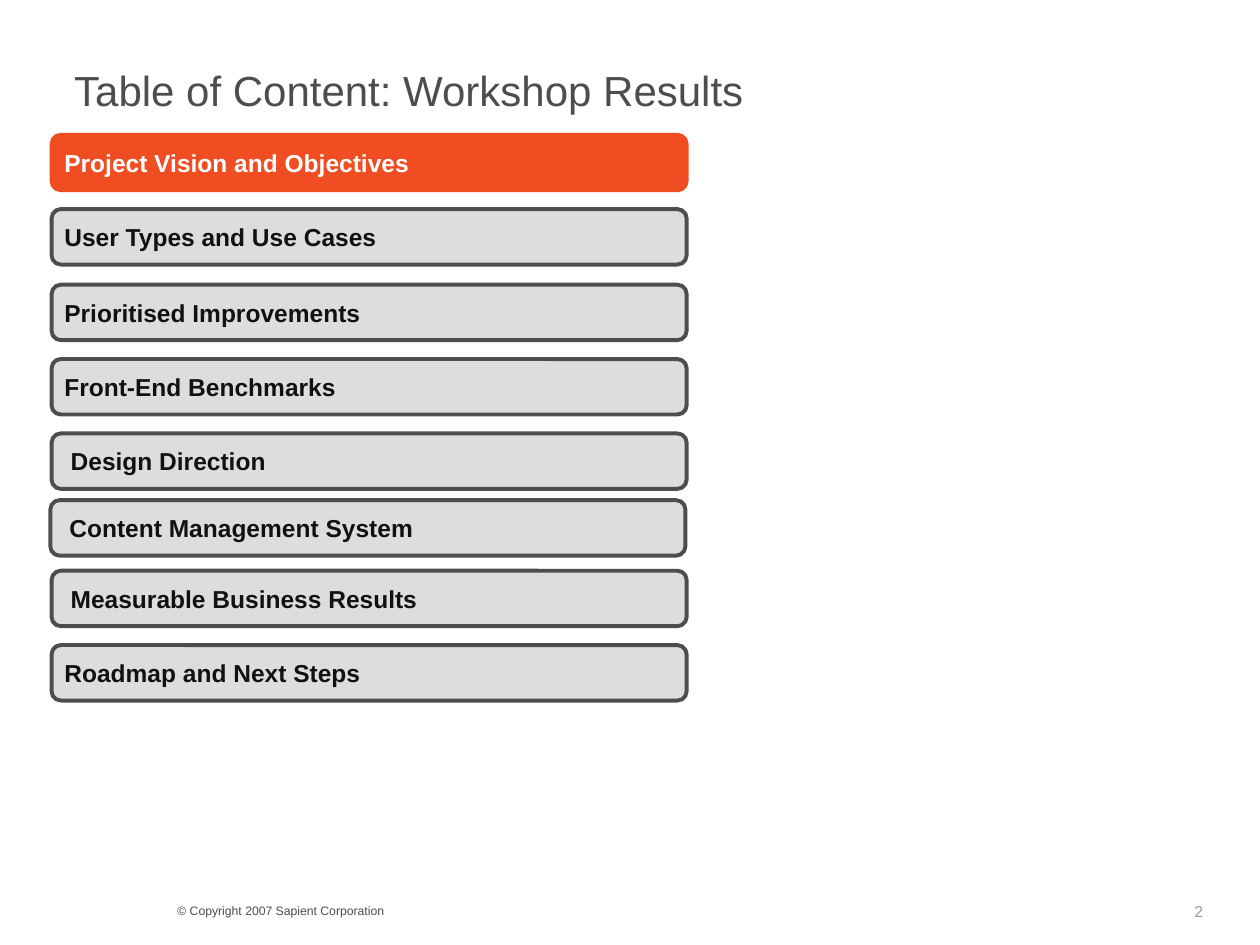
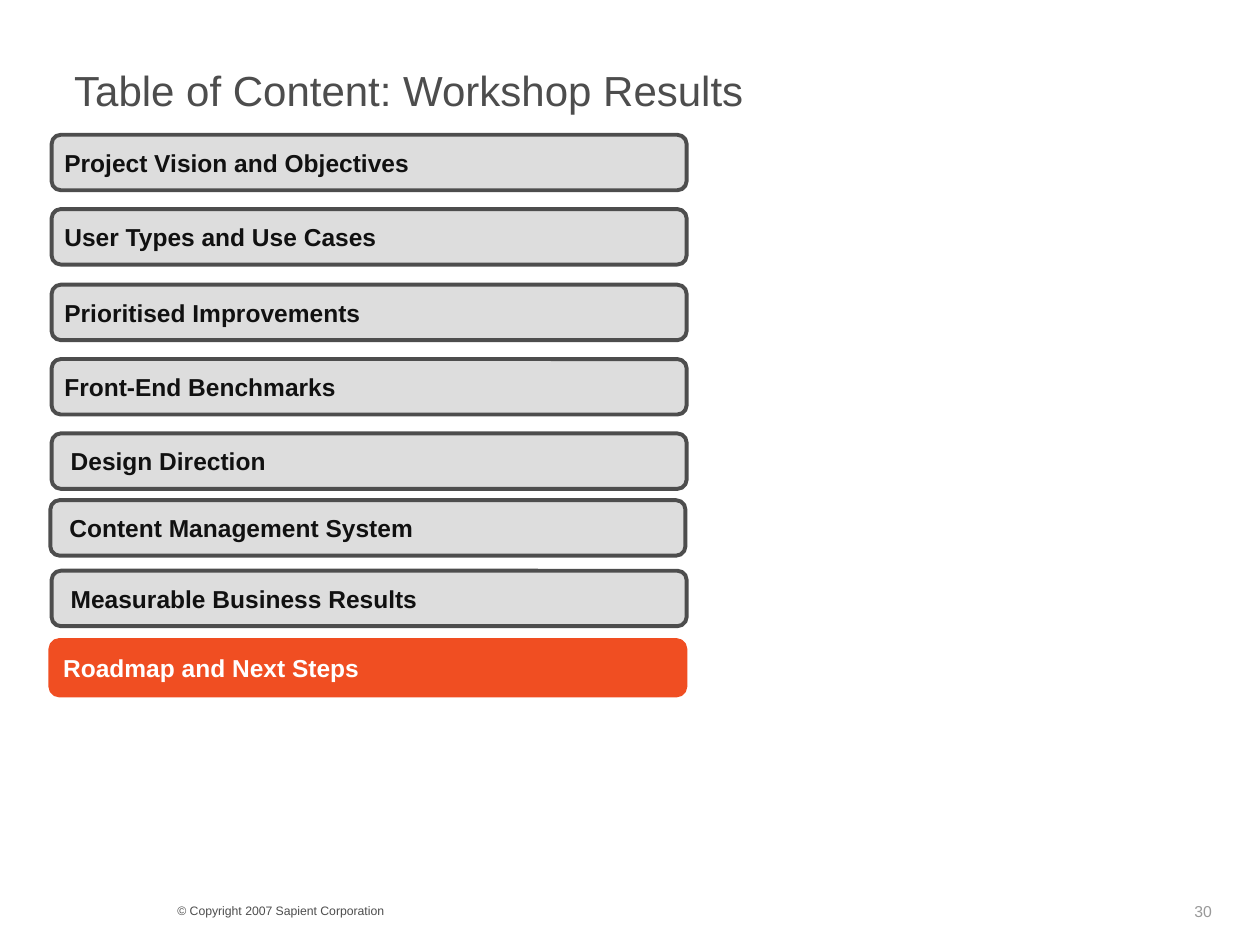
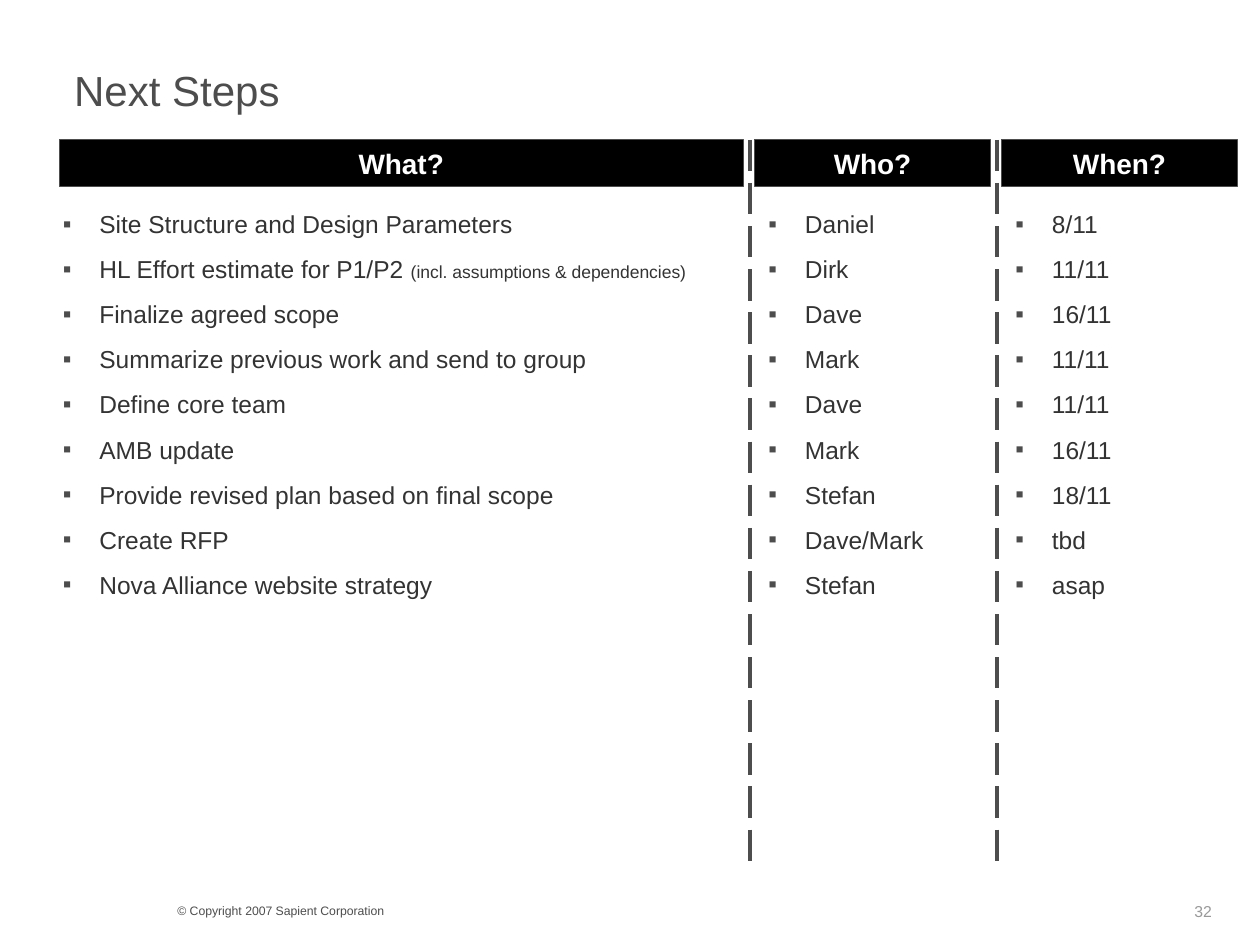
from lxml import etree
from pptx import Presentation
from pptx import util as u
from pptx.dml import color as dml
from pptx.enum import dml as lines, shapes, text
from pptx.oxml import ns

# Shared look
DARK, GREY, ACCENT, WHITE = "4D4D4D", "DDDDDD", "F04E22", "FFFFFF"
TITLE = {"size": u.Pt(24), "color": DARK}
FOOTER = {"size": u.Pt(7), "color": DARK}
PAGE_NUMBER = {"size": u.Pt(9), "color": "999999"}
AGENDA = {"size": u.Pt(14), "bold": True}
HEADER = {"size": u.Pt(16), "bold": True, "color": WHITE}
BODY = {"size": u.Pt(14), "color": "333333"}
MIDDLE = text.MSO_ANCHOR.MIDDLE


def rgb(value):
    return dml.RGBColor.from_string(value)


def write(paragraph, words, formats):
    run = paragraph.add_run()
    run.text = words
    for name, value in {"name": "Arial", **formats}.items():
        if name == "color":
            run.font.color.rgb = rgb(value)
        else:
            setattr(run.font, name, value)


presentation = Presentation()
presentation.slide_width = u.Inches(10)
presentation.slide_height = u.Inches(7.5)

# Title, copyright line and page number of every slide
slides = []
for title, number in (("Table of Content: Workshop Results", "2"),
                      ("Table of Content: Workshop Results", "30"),
                      ("Next Steps", "32")):
    slide = presentation.slides.add_slide(presentation.slide_layouts[6])
    slides.append(slide)
    for words, formats, box, anchor in (
            ("© Copyright 2007 Sapient Corporation", FOOTER, (1.31, 7.12, 4, 0.22), text.MSO_ANCHOR.TOP),
            (number, PAGE_NUMBER, (9.38, 7.11, 0.75, 0.24), text.MSO_ANCHOR.TOP),
            (title, TITLE, (0.49, 0.44, 9.01, 0.55), MIDDLE)):
        frame = slide.shapes.add_textbox(*map(u.Inches, box)).text_frame
        frame.word_wrap = True
        frame.vertical_anchor = anchor
        write(frame.paragraphs[0], words, formats)

# Agenda slides: label, left, top, text inset
agenda = [
    ("Project Vision and Objectives", 0.41, 1.07, 0.08),
    ("User Types and Use Cases", 0.41, 1.66, 0.08),
    ("Prioritised Improvements", 0.41, 2.26, 0.08),
    ("Front-End Benchmarks", 0.41, 2.85, 0.08),
    ("Design Direction", 0.41, 3.44, 0.13),
    ("Content Management System", 0.4, 3.97, 0.13),
    ("Measurable Business Results", 0.41, 4.53, 0.13),
    ("Roadmap and Next Steps", 0.41, 5.12, 0.08),
]
closing_agenda = agenda[:-1] + [("Roadmap and Next Steps", 0.4, 5.08, 0.08)]
for slide, entries, current in ((slides[0], agenda, 0), (slides[1], closing_agenda, 7)):
    for index, (label, left, top, inset) in enumerate(entries):
        active = index == current
        bar = slide.shapes.add_shape(shapes.MSO_SHAPE.ROUNDED_RECTANGLE, u.Inches(left),
                                     u.Inches(top), u.Inches(5.04), u.Inches(0.44))
        bar.shadow.inherit = False
        bar.adjustments[0] = 0.167
        bar.fill.solid()
        bar.fill.fore_color.rgb = rgb(ACCENT if active else GREY)
        bar.line.color.rgb = rgb(ACCENT if active else DARK)
        bar.line.width = u.Pt(2.25)
        frame = bar.text_frame
        frame.margin_left = u.Inches(inset)
        frame.margin_right = frame.margin_top = frame.margin_bottom = 0
        frame.vertical_anchor = MIDDLE
        frame.paragraphs[0].alignment = text.PP_ALIGN.LEFT
        write(frame.paragraphs[0], label, {**AGENDA, "color": WHITE if active else "111111"})

# Next steps: heading, header left and width, list left, width and height, items
slide = slides[2]
columns = [
    ("What?", 0.47, 5.43, (0.4, 1.61, 5.21, 3.55), [
        "Site Structure and Design Parameters",
        "HL Effort estimate for P1/P2 |(incl. assumptions & dependencies)",
        "Finalize agreed scope", "Summarize previous work and send to group",
        "Define core team", "AMB update", "Provide revised plan based on final scope",
        "Create RFP", "Nova Alliance website strategy"]),
    ("Who?", 5.99, 1.87, (6, 1.61, 1.43, 3.19), [
        "Daniel", "Dirk", "Dave", "Mark", "Dave", "Mark", "Stefan", "Dave/Mark", "Stefan"]),
    ("When?", 7.95, 1.87, (7.96, 1.61, 0.98, 3.91), [
        "8/11", "11/11", "16/11", "11/11", "11/11", "16/11", "18/11", "tbd", "asap"]),
]
for heading, left, width, list_box, items in columns:
    # Column header
    header = slide.shapes.add_shape(shapes.MSO_SHAPE.RECTANGLE, u.Inches(left), u.Inches(1.11),
                                    u.Inches(width), u.Inches(0.37))
    header.shadow.inherit = False
    header.fill.solid()
    header.fill.fore_color.rgb = rgb("000000")
    header.line.color.rgb = rgb(DARK)
    header.line.width = u.Pt(0.75)
    header.text_frame.vertical_anchor = text.MSO_ANCHOR.TOP
    paragraph = header.text_frame.paragraphs[0]
    paragraph.alignment = text.PP_ALIGN.CENTER
    paragraph.line_spacing = 1.01
    write(paragraph, heading, HEADER)

    # Bulleted list
    frame = slide.shapes.add_textbox(*map(u.Inches, list_box)).text_frame
    frame.word_wrap = False
    for index, item in enumerate(items):
        paragraph = frame.paragraphs[0] if index == 0 else frame.add_paragraph()
        properties = paragraph._p.get_or_add_pPr()
        properties.set("marL", str(u.Inches(0.29)))
        properties.set("indent", str(-u.Inches(0.29)))
        bullet_color = etree.SubElement(properties, ns.qn("a:buClr"))
        etree.SubElement(bullet_color, ns.qn("a:srgbClr"), val=DARK)
        etree.SubElement(properties, ns.qn("a:buFont"), typeface="Arial")
        etree.SubElement(properties, ns.qn("a:buChar"), char="▪")
        paragraph.line_spacing = 1.01
        if index:
            paragraph.space_before = u.Pt(8.8)
        main, _, remark = item.partition("|")
        write(paragraph, main, BODY)
        if remark:
            write(paragraph, remark, {**BODY, "size": u.Pt(10)})

# Dashed dividers in the gaps before the second and third column
for _, left, *_ in columns[1:]:
    x = u.Inches(left - 0.04)
    divider = slide.shapes.add_connector(shapes.MSO_CONNECTOR.STRAIGHT, x, u.Inches(1.11),
                                         x, u.Inches(6.84))
    divider.line.color.rgb = rgb(DARK)
    divider.line.width = u.Pt(2.25)
    divider.line.dash_style = lines.MSO_LINE.LONG_DASH
    etree.SubElement(divider._element.spPr, ns.qn("a:effectLst"))

presentation.save("out.pptx")
